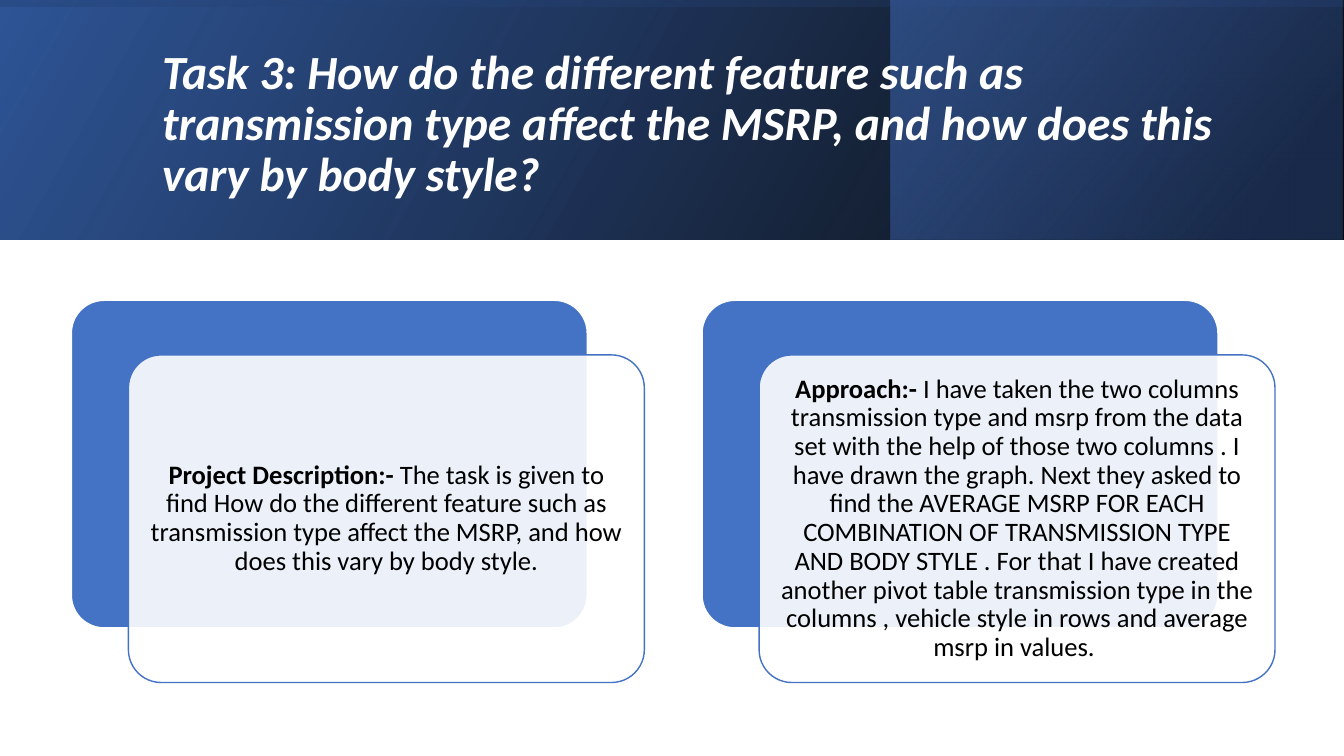
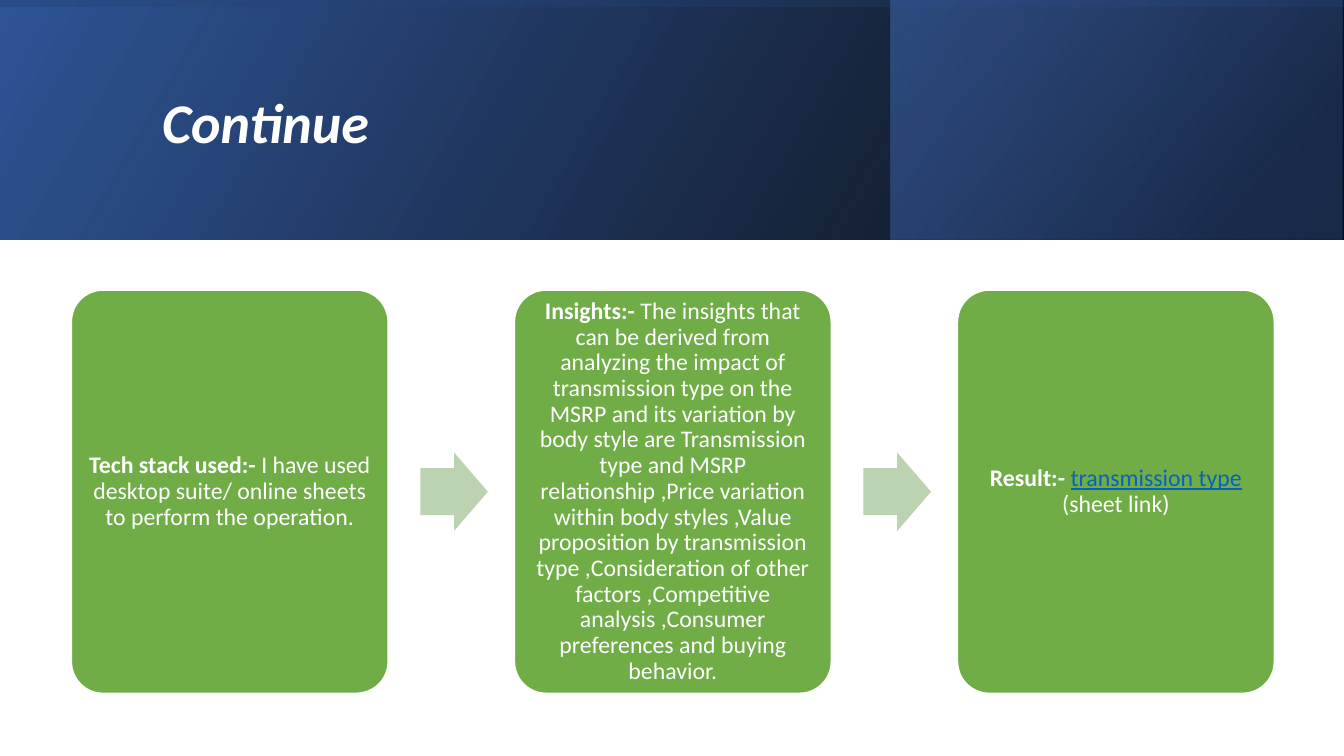
from dataclasses import dataclass

from lxml.etree import SubElement
from pptx import Presentation
from pptx.dml.color import RGBColor
from pptx.enum.shapes import MSO_SHAPE
from pptx.enum.text import MSO_ANCHOR, PP_ALIGN
from pptx.oxml.ns import qn
from pptx.util import Pt

QUESTION = {
    "title": "Task 3: How do the different feature such as transmission type affect the MSRP, "
             "and how does this vary by body style?",
    "cards": [
        [("Project Description:-", "label"),
         (" The task is given to find How do the different feature such as transmission type "
          "affect the MSRP, and how does this vary by body style.", "body")],
        [("Approach:- ", "label"),
         ("I have taken the two columns transmission type and msrp from the data set with the "
          "help of those two columns . I have drawn the graph. Next they asked to find the "
          "AVERAGE MSRP FOR EACH COMBINATION OF TRANSMISSION TYPE AND BODY STYLE . For that I "
          "have created another pivot table transmission type in the columns , vehicle style "
          "in rows and average msrp in values. ", "body")],
    ],
}
FINDINGS = {
    "title": "Continue",
    "steps": [
        [("Tech stack used:-", "label"),
         (" I have used desktop suite/ online sheets to perform the operation.", "body")],
        [("Insights:- ", "label"),
         ("The insights that can be derived from analyzing the impact of transmission type on "
          "the MSRP and its variation by body style are Transmission type and MSRP "
          "relationship ,Price variation within body styles ,Value proposition by transmission "
          "type ,Consideration of other factors ,Competitive analysis ,Consumer preferences "
          "and buying behavior.", "body")],
        [("Result:- ", "label"), ("transmission type ", "link"), ("(sheet link)", "body")],
    ],
}


@dataclass(frozen=True)
class Theme:
    font: str = "Calibri"
    white: str = "FFFFFF"
    black: str = "000000"
    blue: str = "4472C4"
    deep_blue: str = "2F5597"
    navy: str = "203864"
    green: str = "70AD47"
    pale_green: str = "BBD3B1"
    link: str = "0563C1"
    question_size: float = 34
    heading_size: float = 40
    card_size: float = 19
    step_size: float = 17
    leading: float = 0.9
    corner: float = 0.1


THEME = Theme()
SLIDE_W, SLIDE_H = 960, 540
BAND_H = 171
TITLE_BOX = (108.75, 27.5, 765.25, 123.75)
MARGIN = 51

BAND_LAYERS = [
    {"box": (0, 0, SLIDE_W, BAND_H), "angle": 330, "rotation": 0,
     "stops": [(0, THEME.black, 96), (100, THEME.deep_blue, 100)]},
    {"box": (636.5, 0, 322.75, BAND_H), "angle": 320, "rotation": 0,
     "stops": [(19, THEME.navy, 68), (100, THEME.blue, 48)]},
    {"box": ((SLIDE_W - BAND_H) / 2, (BAND_H - SLIDE_W) / 2, BAND_H, SLIDE_W),
     "angle": 350, "rotation": 270,
     "stops": [(23, THEME.deep_blue, 16), (99, THEME.black, 45)]},
]


def add_shape(slide, preset, box, fill=None, line=None):
    shape = slide.shapes.add_shape(preset, *map(Pt, box))
    shape.shadow.inherit = False
    if fill:
        shape.fill.solid()
        shape.fill.fore_color.rgb = RGBColor.from_string(fill)
    if line:
        shape.line.color.rgb = RGBColor.from_string(line)
        shape.line.width = Pt(1)
    else:
        shape.line.fill.background()
    return shape


def set_opacity(shape, percents):
    fill_colors = [color for color in shape._element.spPr.iter(qn("a:srgbClr"))
                   if color.getparent().getparent().tag != qn("a:ln")]
    for color, percent in zip(fill_colors, percents):
        SubElement(color, qn("a:alpha")).set("val", str(percent * 1000))


def write(shape, runs, size, color, align):
    frame = shape.text_frame
    frame.word_wrap = True
    frame.vertical_anchor = MSO_ANCHOR.MIDDLE
    paragraph = frame.paragraphs[0]
    paragraph.alignment = align
    paragraph.line_spacing = THEME.leading
    for text, role in runs:
        run = paragraph.add_run()
        run.text = text
        font = run.font
        font.name, font.size = THEME.font, Pt(size)
        font.bold = role in ("label", "title")
        font.italic = role == "title"
        font.underline = role == "link"
        font.color.rgb = RGBColor.from_string(THEME.link if role == "link" else color)


def add_round_box(slide, box, fill, line):
    panel = add_shape(slide, MSO_SHAPE.ROUNDED_RECTANGLE, box, fill, line)
    panel.adjustments[0] = THEME.corner
    return panel


def fill_box(panel, runs, size, color, inset):
    frame = panel.text_frame
    frame.margin_left = frame.margin_right = Pt(inset)
    frame.margin_top = frame.margin_bottom = Pt(inset)
    write(panel, runs, size, color, PP_ALIGN.CENTER)


def add_titled_slide(deck, title, size):
    slide = deck.slides.add_slide(deck.slide_layouts[6])
    for layer in BAND_LAYERS:
        band = add_shape(slide, MSO_SHAPE.RECTANGLE, layer["box"])
        band.rotation = layer["rotation"]
        band._element.spPr.find(qn("a:xfrm")).set("flipH", "1")
        band.fill.gradient()
        band.fill.gradient_angle = 360 - layer["angle"]
        for stop, (position, color, _) in zip(band.fill.gradient_stops, layer["stops"]):
            stop.position = position / 100
            stop.color.rgb = RGBColor.from_string(color)
        set_opacity(band, [opacity for _, _, opacity in layer["stops"]])
    heading = slide.shapes.add_textbox(*map(Pt, TITLE_BOX))
    write(heading, [(title, "title")], size, THEME.white, PP_ALIGN.LEFT)
    return slide


def add_question_slide(deck):
    slide = add_titled_slide(deck, QUESTION["title"], THEME.question_size)
    top, width, height = 214.5, 368.5, 234
    pitch, shift_x, shift_y = 450.5, 40.75, 39
    for index, runs in enumerate(QUESTION["cards"]):
        left = MARGIN + index * pitch
        add_round_box(slide, (left, top, width, height), THEME.blue, THEME.white)
        front = add_round_box(slide, (left + shift_x, top + shift_y, width, height),
                              THEME.white, THEME.blue)
        set_opacity(front, [90])
        fill_box(front, runs, THEME.card_size, THEME.black, 6)


def add_findings_slide(deck):
    slide = add_titled_slide(deck, FINDINGS["title"], THEME.heading_size)
    top, width, height, pitch = 207.25, 226.25, 288, 316.5
    arrow_gap, arrow_w, arrow_h = 23, 48.25, 56
    for index, runs in enumerate(FINDINGS["steps"]):
        left = MARGIN + index * pitch
        step = add_round_box(slide, (left, top, width, height), THEME.green, THEME.white)
        fill_box(step, runs, THEME.step_size, THEME.white, 5)
        if index < len(FINDINGS["steps"]) - 1:
            arrow = add_shape(slide, MSO_SHAPE.RIGHT_ARROW,
                              (left + width + arrow_gap, top + (height - arrow_h) / 2,
                               arrow_w, arrow_h), THEME.pale_green)
            arrow.adjustments[0], arrow.adjustments[1] = 0.6, 0.5


def main():
    deck = Presentation()
    deck.slide_width, deck.slide_height = Pt(SLIDE_W), Pt(SLIDE_H)
    add_question_slide(deck)
    add_findings_slide(deck)
    deck.save("out.pptx")


if __name__ == "__main__":
    main()
